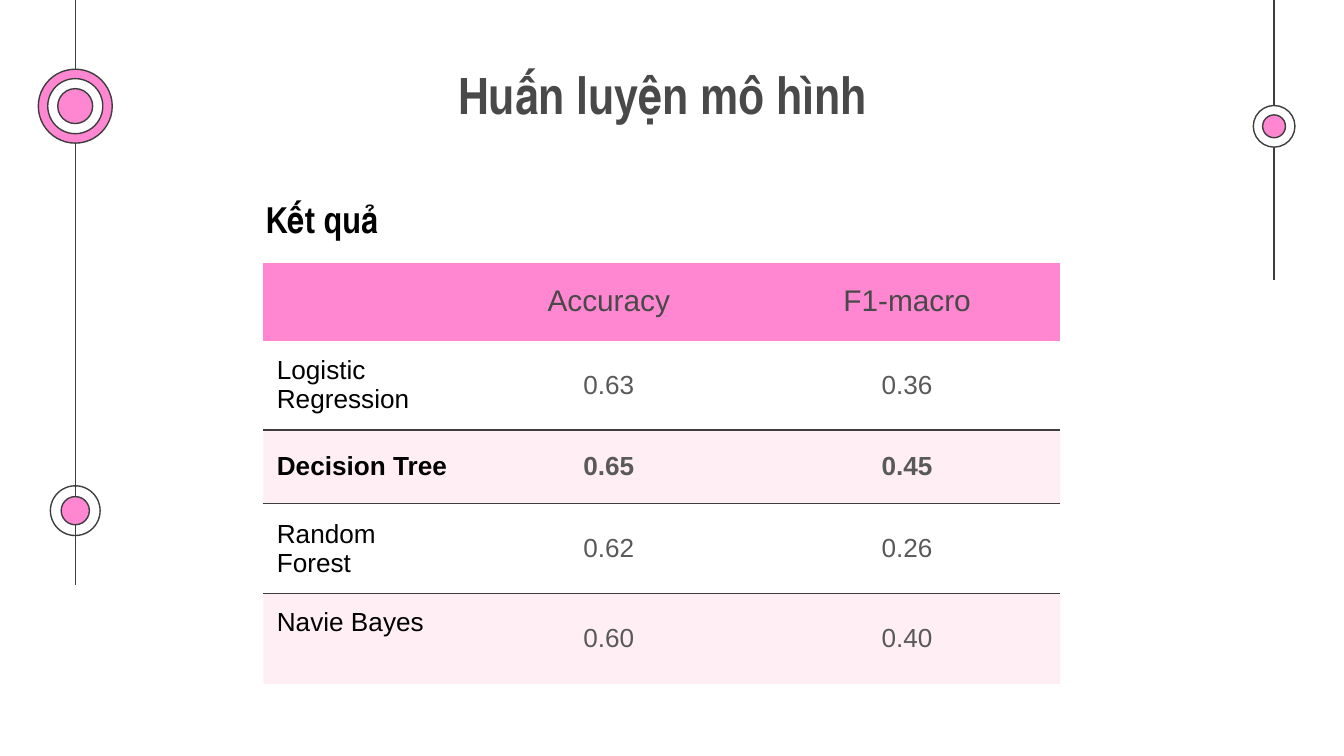
from lxml.etree import SubElement
from pptx import Presentation
from pptx.dml.color import RGBColor
from pptx.enum.shapes import MSO_CONNECTOR, MSO_SHAPE
from pptx.enum.text import MSO_ANCHOR, PP_ALIGN
from pptx.oxml.ns import qn
from pptx.util import Inches, Pt

PINK = RGBColor(0xFF, 0x87, 0xD1)
PALE = RGBColor(0xFF, 0xD9, 0xE8)
WHITE = RGBColor(0xFF, 0xFF, 0xFF)
BLACK = RGBColor(0x00, 0x00, 0x00)
LINE = RGBColor(0x3D, 0x3D, 0x3D)
DARK = RGBColor(0x49, 0x49, 0x49)
GREY = RGBColor(0x59, 0x59, 0x59)

HEAD_FONT = "Arial Narrow"
BODY_FONT = "Arial"


def write(tf, text, size=14, font=BODY_FONT, color=BLACK, bold=False, align=PP_ALIGN.LEFT):
    p = tf.paragraphs[0]
    p.alignment = align
    r = p.add_run()
    r.text = text
    r.font.size = Pt(size)
    r.font.name = font
    r.font.color.rgb = color
    r.font.bold = bold


class Deck:
    line_width = Pt(0.75)
    inset = Inches(0.1)

    def __init__(self, prs):
        self.s = prs.slides.add_slide(prs.slide_layouts[5])

    def title(self, text, x, y, w, h):
        sp = self.s.shapes.title
        sp.left, sp.top, sp.width, sp.height = map(Inches, (x, y, w, h))
        tf = sp.text_frame
        tf.margin_left = tf.margin_right = tf.margin_top = tf.margin_bottom = self.inset
        tf.vertical_anchor = MSO_ANCHOR.MIDDLE
        write(tf, text, size=28, font=HEAD_FONT, color=DARK, bold=True, align=PP_ALIGN.CENTER)

    def label(self, text, x, y, w, h):
        sp = self.s.shapes.add_textbox(*map(Inches, (x, y, w, h)))
        sp.text_frame.word_wrap = False
        write(sp.text_frame, text, size=20, font=HEAD_FONT, bold=True)

    def rail(self, x, length):
        cn = self.s.shapes.add_connector(
            MSO_CONNECTOR.STRAIGHT, Inches(x), 0, Inches(x), Inches(length))
        cn.line.color.rgb = LINE
        cn.line.width = self.line_width
        SubElement(cn._element.spPr, qn("a:effectLst"))

    def rings(self, x, y, circles):
        for d, color in circles:
            sp = self.s.shapes.add_shape(
                MSO_SHAPE.OVAL, Inches(x - d / 2), Inches(y - d / 2), Inches(d), Inches(d))
            sp.shadow.inherit = False
            if color is None:
                sp.fill.background()
            else:
                sp.fill.solid()
                sp.fill.fore_color.rgb = color
            sp.line.color.rgb = LINE
            sp.line.width = self.line_width

    def table(self, x, y, widths, heights, rows, bold_row):
        frame = self.s.shapes.add_table(
            len(rows), len(widths), Inches(x), Inches(y),
            Inches(sum(widths)), Inches(sum(heights)))
        table = frame.table
        table.first_row = table.horz_banding = False
        for column, w in zip(table.columns, widths):
            column.width = Inches(w)
        last = len(rows) - 1
        rules = [None, PINK] + [LINE] * (last - 1) + [None]
        for i, row in enumerate(rows):
            table.rows[i].height = Inches(heights[i])
            for j, text in enumerate(row):
                cell = table.cell(i, j)
                cell.margin_left = cell.margin_right = self.inset
                cell.margin_top = cell.margin_bottom = self.inset
                top_label = i == last and j == 0
                cell.vertical_anchor = MSO_ANCHOR.TOP if top_label else MSO_ANCHOR.MIDDLE
                self.borders(cell, rules[i], rules[i + 1])
                self.cell_fill(cell, i)
                if text:
                    color = DARK if i == 0 else GREY if j else BLACK
                    write(cell.text_frame, text, size=14 if i else 16, color=color,
                          bold=i == bold_row,
                          align=PP_ALIGN.CENTER if j else PP_ALIGN.LEFT)

    def cell_fill(self, cell, i):
        if i % 2:
            cell.fill.background()
            return
        cell.fill.solid()
        cell.fill.fore_color.rgb = PALE if i else PINK
        if i:
            fill = cell._tc.tcPr.find(qn("a:solidFill"))
            SubElement(fill.find(qn("a:srgbClr")), qn("a:alpha"), val="42000")

    def borders(self, cell, top, bottom):
        tcPr = cell._tc.get_or_add_tcPr()
        for tag, color in (("lnL", None), ("lnR", None), ("lnT", top), ("lnB", bottom)):
            ln = SubElement(tcPr, qn("a:" + tag), w=str(self.line_width))
            if color is None:
                SubElement(ln, qn("a:noFill"))
            else:
                fill = SubElement(ln, qn("a:solidFill"))
                SubElement(fill, qn("a:srgbClr"), val=str(color))


def main():
    prs = Presentation()
    prs.slide_width = Inches(10)
    prs.slide_height = prs.slide_width * 9 // 16
    deck = Deck(prs)

    deck.rail(0.56, 4.35)
    deck.rail(9.48, 2.08)
    deck.rings(0.56, 3.8, [(0.37, None), (0.21, PINK)])
    deck.rings(9.48, 0.94, [(0.31, WHITE), (0.17, PINK)])
    deck.rings(0.56, 0.79, [(0.55, PINK), (0.41, WHITE), (0.26, PINK)])

    deck.title("Huấn luyện mô hình", 1.88, 0.37, 6.1, 0.65)
    deck.label("Kết quả", 1.88, 1.41, 1.04, 0.44)
    deck.table(
        1.96, 1.96, [1.49, 2.16, 2.28], [0.57, 0.67, 0.55, 0.67, 0.67],
        [
            ("", "Accuracy", "F1-macro"),
            ("Logistic Regression", "0.63", "0.36"),
            ("Decision Tree", "0.65", "0.45"),
            ("Random Forest", "0.62", "0.26"),
            ("Navie Bayes", "0.60", "0.40"),
        ],
        bold_row=2)

    prs.save("out.pptx")


if __name__ == "__main__":
    main()
